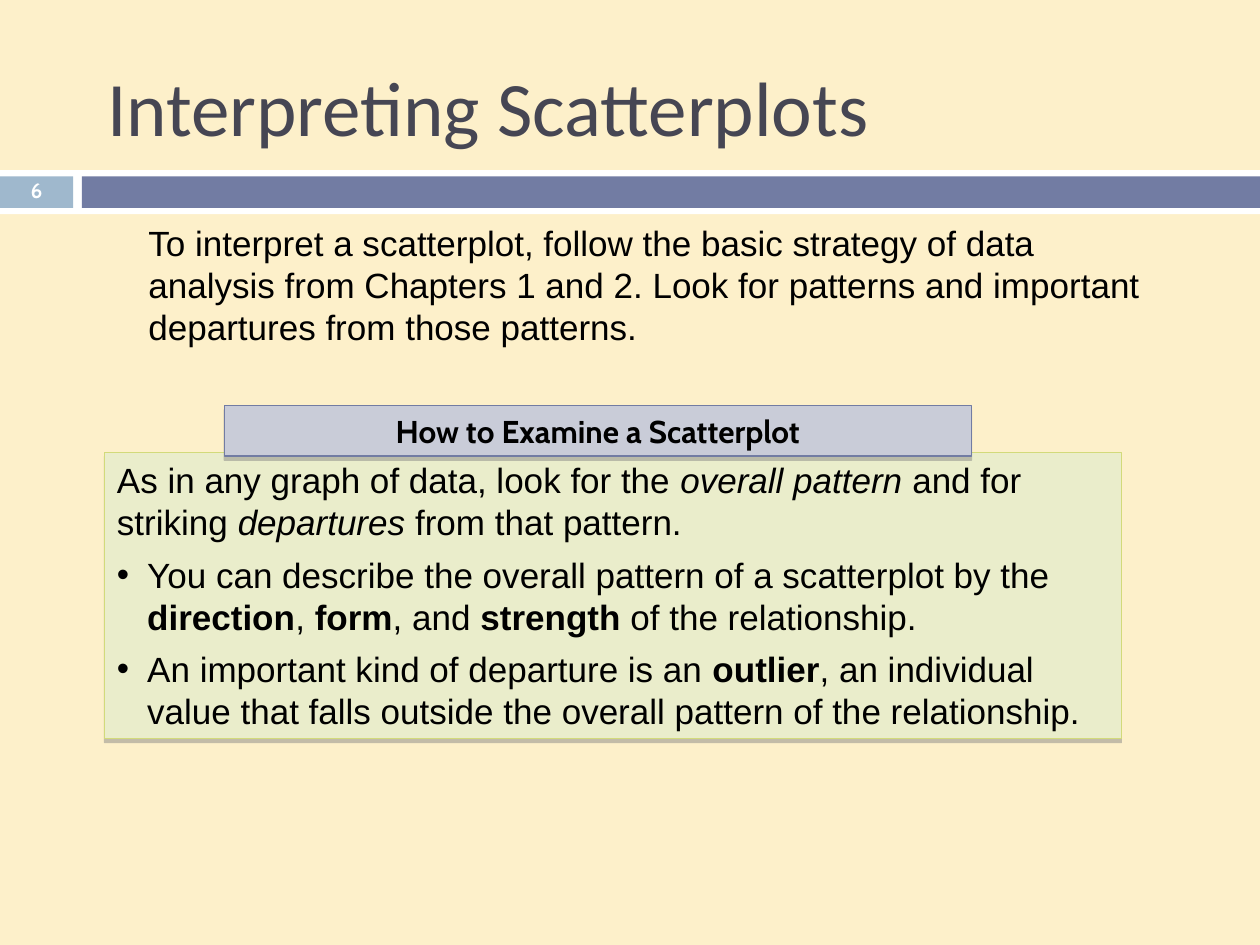
from lxml import etree
from pptx import Presentation
from pptx.dml.color import RGBColor
from pptx.enum.shapes import MSO_SHAPE
from pptx.enum.text import MSO_ANCHOR, MSO_AUTO_SIZE, PP_ALIGN
from pptx.oxml.ns import qn
from pptx.util import Inches, Pt

COLORS = {
    "background": "FDF0CA", "white": "FFFFFF", "number": "9FB8CD", "bar": "727CA3",
    "title": "464653", "text": "000000", "panel": "EAEDCB", "panel_line": "D2DA7A",
    "heading": "C9CCD8", "shadow": "808080",
}

TITLE = "Interpreting Scatterplots"
PAGE_NUMBER = "6"
INTRO = ("To interpret a scatterplot, follow the basic strategy of data analysis from "
         "Chapters 1 and 2. Look for patterns and important departures from those patterns.")
HEADING = "How to Examine a Scatterplot"
# Each paragraph: (bulleted, [(text, style), ...])
GUIDE = [
    (False, [("As in any graph of data, look for the ", ""), ("overall pattern", "italic"),
             (" and for striking ", ""), ("departures", "italic"),
             (" from that pattern.", "")]),
    (True, [("You can describe the overall pattern of a scatterplot by the ", ""),
            ("direction", "bold"), (", ", ""), ("form", "bold"), (", and ", ""),
            ("strength", "bold"), (" of the relationship.", "")]),
    (True, [("An important kind of departure is an ", ""), ("outlier", "bold"),
            (", an individual value that falls outside the overall pattern of the "
             "relationship.", "")]),
]

# Boxes in inches: left, top, width, height
BANDS = [("white", (0, 1.35, 10, 0.35)), ("number", (0, 1.4, 0.58, 0.25)),
         ("bar", (0.65, 1.4, 9.35, 0.25))]
TITLE_BOX = (0.75, 0.17, 8.5, 1.33)
NUMBER_BOX = (0, 1.39, 0.58, 0.27)
INTRO_BOX = (0.58, 1.71, 8.67, 1.1)
PANEL_BOX = (0.83, 3.59, 8.07, 2.27)
HEADING_BOX = (1.78, 3.22, 5.93, 0.4)
INTRO_INDENT, BULLET_INDENT = 0.5, 0.24


def color(name):
    return RGBColor.from_string(COLORS[name])


def inches(box):
    return [Inches(length) for length in box]


def set_font(paragraph, name, size, color_name, bold=None):
    font = paragraph.font
    font.name, font.size, font.bold = name, Pt(size), bold
    font.color.rgb = color(color_name)


def set_indent(paragraph, left, hanging=0):
    properties = paragraph._p.get_or_add_pPr()
    properties.set("marL", str(Inches(left)))
    properties.set("indent", str(-Inches(hanging)))
    return properties


def add_bullet(paragraph):
    properties = set_indent(paragraph, BULLET_INDENT, BULLET_INDENT)
    bullet_color = etree.SubElement(properties, qn("a:buClr"))
    etree.SubElement(bullet_color, qn("a:srgbClr"), val=COLORS["text"])
    etree.SubElement(properties, qn("a:buFont"), typeface="Arial")
    etree.SubElement(properties, qn("a:buChar"), char="•")


def add_rectangle(slide, box, fill, line=None):
    """Add a flat rectangle; an outlined one also gets a soft drop shadow."""
    shape = slide.shapes.add_shape(MSO_SHAPE.RECTANGLE, *inches(box))
    shape.fill.solid()
    shape.fill.fore_color.rgb = color(fill)
    shape.shadow.inherit = False
    if line is None:
        shape.line.fill.background()
        return shape
    shape.line.color.rgb = color(line)
    shape.line.width = Pt(0.79)
    effects = shape._element.spPr.find(qn("a:effectLst"))
    shadow = etree.SubElement(effects, qn("a:outerShdw"), blurRad="0",
                              dist=str(Pt(2.4)), dir="5400000", rotWithShape="0")
    shadow_color = etree.SubElement(shadow, qn("a:srgbClr"), val=COLORS["shadow"])
    etree.SubElement(shadow_color, qn("a:alpha"), val="45000")
    shape.text_frame.vertical_anchor = MSO_ANCHOR.TOP
    return shape


def add_text_box(slide, box, text):
    frame = slide.shapes.add_textbox(*inches(box)).text_frame
    frame.word_wrap = True
    frame.text = text
    return frame


def add_title(slide):
    title = slide.shapes.title
    title.left, title.top, title.width, title.height = inches(TITLE_BOX)
    frame = title.text_frame
    frame.text = TITLE
    frame.auto_size = MSO_AUTO_SIZE.NONE
    frame.vertical_anchor = MSO_ANCHOR.MIDDLE
    frame.paragraphs[0].alignment = PP_ALIGN.LEFT
    set_font(frame.paragraphs[0], "Calibri", 44, "title")


def add_page_number(slide):
    frame = add_text_box(slide, NUMBER_BOX, PAGE_NUMBER)
    frame.vertical_anchor = MSO_ANCHOR.MIDDLE
    paragraph = frame.paragraphs[0]
    paragraph.alignment = PP_ALIGN.CENTER
    paragraph.line_spacing = 0.8
    set_font(paragraph, "Cabin", 12, "white", bold=True)


def add_intro(slide):
    paragraph = add_text_box(slide, INTRO_BOX, INTRO).paragraphs[0]
    set_indent(paragraph, INTRO_INDENT)
    set_font(paragraph, "Arial", 20, "text")


def add_guide(slide):
    frame = add_rectangle(slide, PANEL_BOX, "panel", "panel_line").text_frame
    for index, (bulleted, pieces) in enumerate(GUIDE):
        paragraph = frame.add_paragraph() if index else frame.paragraphs[0]
        paragraph.alignment = PP_ALIGN.LEFT
        paragraph.space_after = Pt(6)
        if bulleted:
            add_bullet(paragraph)
        set_font(paragraph, "Arial", 20, "text")
        for text, style in pieces:
            run = paragraph.add_run()
            run.text = text
            if style:
                setattr(run.font, style, True)


def add_heading(slide):
    frame = add_rectangle(slide, HEADING_BOX, "heading", "bar").text_frame
    frame.text = HEADING
    frame.paragraphs[0].alignment = PP_ALIGN.CENTER
    set_font(frame.paragraphs[0], "Cabin", 18, "text", bold=True)


def main():
    presentation = Presentation()
    presentation.slide_width, presentation.slide_height = Inches(10), Inches(7.5)
    title_only = presentation.slide_layouts[5]
    slide = presentation.slides.add_slide(title_only)
    slide.background.fill.solid()
    slide.background.fill.fore_color.rgb = color("background")
    for fill, box in BANDS:
        add_rectangle(slide, box, fill)
    add_page_number(slide)
    add_title(slide)
    add_intro(slide)
    add_guide(slide)
    add_heading(slide)
    presentation.save("out.pptx")


if __name__ == "__main__":
    main()
